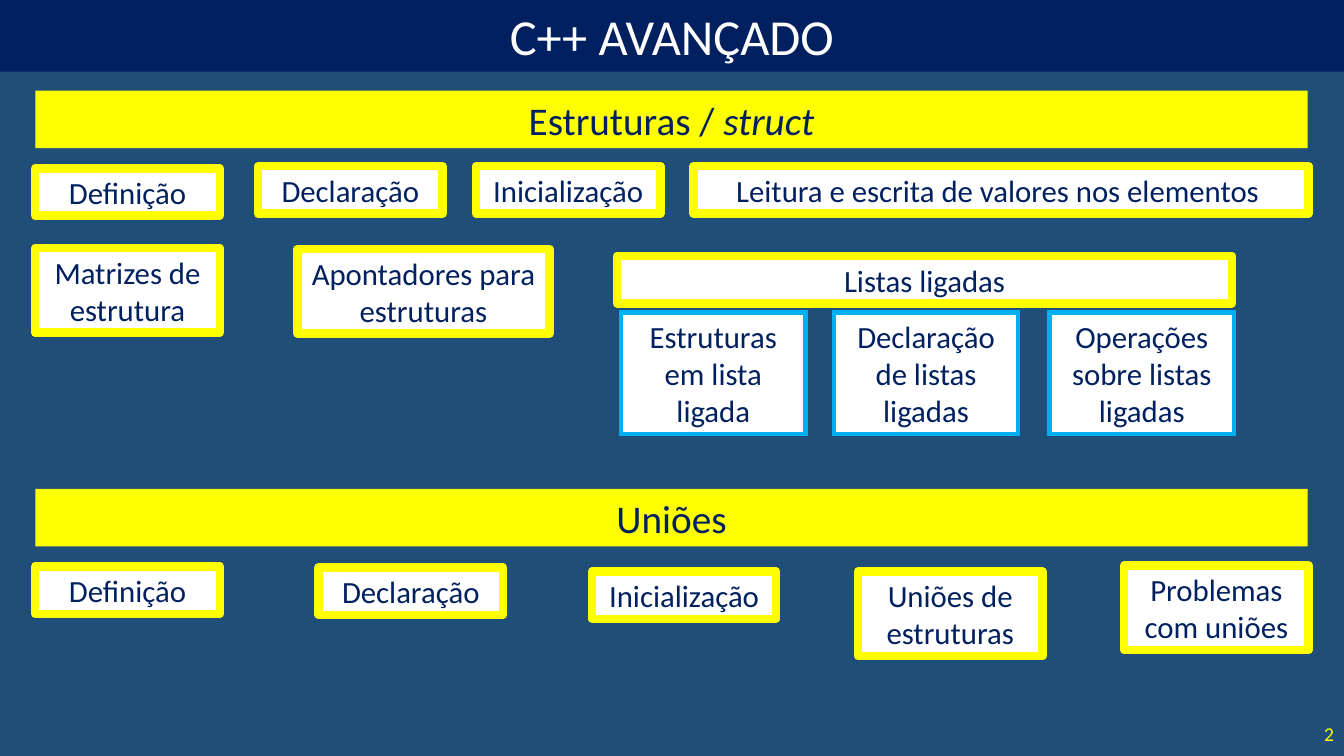
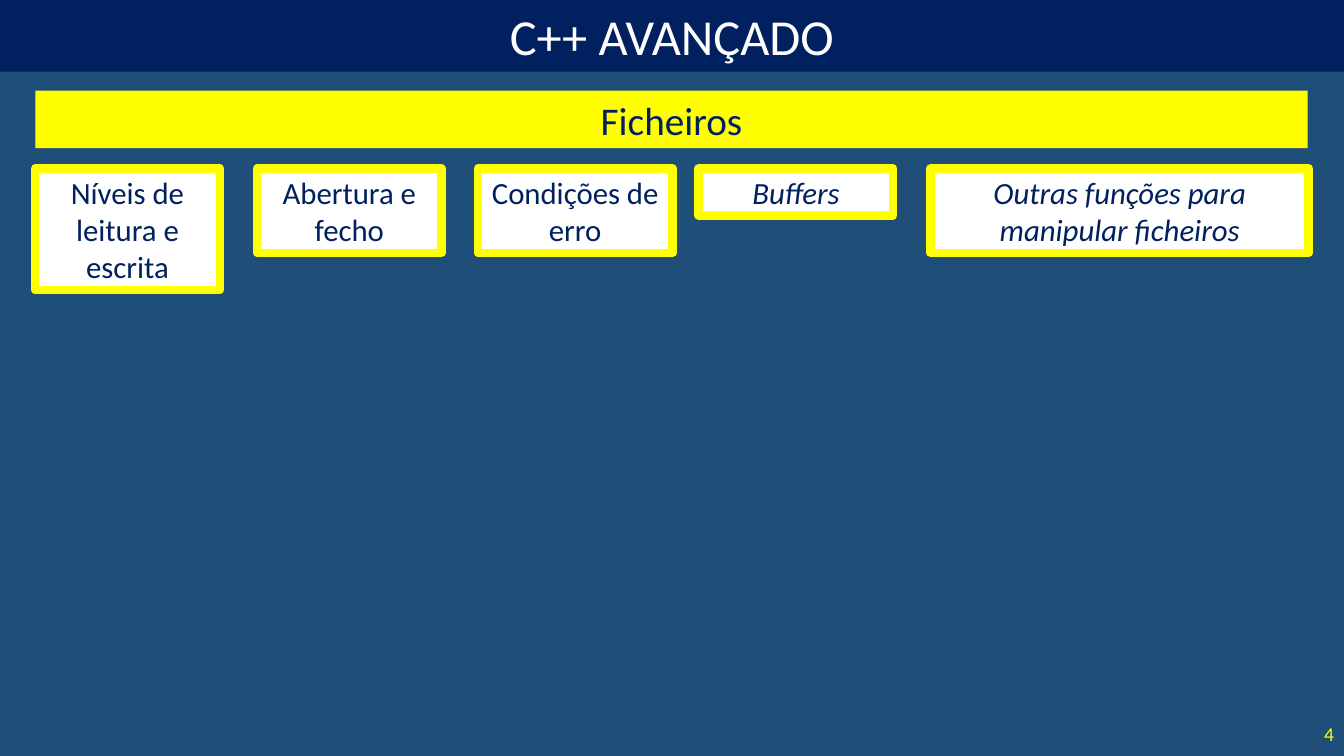
from dataclasses import dataclass

from pptx import Presentation
from pptx.dml.color import RGBColor as Color
from pptx.enum.shapes import MSO_SHAPE as Preset
from pptx.enum.text import MSO_ANCHOR as Anchor
from pptx.enum.text import MSO_AUTO_SIZE as AutoSize
from pptx.enum.text import PP_ALIGN as Align
from pptx.oxml.ns import qn
from pptx.util import Inches, Pt


@dataclass(frozen=True)
class Theme:
    background: Color = Color.from_string("1F4E79")
    navy: Color = Color.from_string("002060")
    yellow: Color = Color.from_string("FFFF00")
    blue: Color = Color.from_string("00B0F0")
    white: Color = Color.from_string("FFFFFF")
    font: str = "Calibri"
    title_size: int = 36
    section_size: int = 28
    topic_size: int = 22
    number_size: int = 14
    topic_line: int = 6
    subtopic_line: int = 3


theme = Theme()
SLIDE_WIDTH, SLIDE_HEIGHT = 13.33, 7.5
MARGIN, CONTENT_WIDTH = 0.35, 12.62
TOPIC_WIDTH, WIDE_TOPIC_WIDTH = 1.83, 6.1
LINE_HEIGHT, TEXT_PADDING = 0.37, 0.1


def write_text(shape, text, italic_text, size, color, align=Align.CENTER):
    frame = shape.text_frame
    frame.word_wrap = True
    frame.vertical_anchor = Anchor.MIDDLE
    paragraph = frame.paragraphs[0]
    paragraph.alignment = align
    for part, italic in ((text, None), (italic_text, True)):
        if part:
            run = paragraph.add_run()
            run.text = part
            run.font.name = theme.font
            run.font.size = Pt(size)
            run.font.color.rgb = color
            run.font.italic = italic


def add_box(shapes, place, fill, text, size, color=theme.navy, italic_text="", line=None):
    shape = shapes.add_shape(Preset.RECTANGLE, *map(Inches, place))
    shape.shadow.inherit = False
    shape.fill.solid()
    shape.fill.fore_color.rgb = fill
    if line:
        line_color, line_width, join = line
        shape.line.color.rgb = line_color
        shape.line.width = Pt(line_width)
        shape.line.fill._xPr.append(shape._element.makeelement(qn(join), {}))
    else:
        shape.line.fill.background()
    write_text(shape, text, italic_text, size, color)
    shape.text_frame.auto_size = AutoSize.SHAPE_TO_FIT_TEXT


topic_outline = (theme.yellow, theme.topic_line, "a:round")
subtopic_outline = (theme.blue, theme.subtopic_line, "a:miter")

pages = [
    {
        "number": "2",
        "sections": [(0.9, "Estruturas / ", "struct"), (4.85, "Uniões", "")],
        "topics": [
            (MARGIN, 1.67, TOPIC_WIDTH, 1, "Definição", ""),
            (2.56, 1.65, TOPIC_WIDTH, 1, "Declaração", ""),
            (4.72, 1.65, TOPIC_WIDTH, 1, "Inicialização", ""),
            (6.88, 1.65, WIDE_TOPIC_WIDTH, 1, "Leitura e escrita de valores nos elementos ", ""),
            (MARGIN, 2.46, TOPIC_WIDTH, 2, "Matrizes de estrutura", ""),
            (2.95, 2.47, 2.5, 2, "Apontadores para estruturas", ""),
            (MARGIN, 5.62, TOPIC_WIDTH, 1, "Definição", ""),
            (3.16, 5.63, TOPIC_WIDTH, 1, "Declaração", ""),
            (5.87, 5.67, TOPIC_WIDTH, 1, "Inicialização", ""),
            (8.51, 5.67, TOPIC_WIDTH, 2, "Uniões de estruturas", ""),
            (11.15, 5.61, TOPIC_WIDTH, 2, "Problemas com uniões", ""),
        ],
        "linked_lists": [
            (6.16, 3.1, TOPIC_WIDTH, 3, "Estruturas em lista ligada", subtopic_outline),
            (8.27, 3.1, TOPIC_WIDTH, 3, "Declaração de listas ligadas", subtopic_outline),
            (10.41, 3.1, TOPIC_WIDTH, 3, "Operações sobre listas ligadas", subtopic_outline),
            (6.12, 2.54, WIDE_TOPIC_WIDTH, 1, "Listas ligadas", topic_outline),
        ],
    },
    {
        "number": "4",
        "sections": [(0.9, "Ficheiros", "")],
        "topics": [
            (MARGIN, 1.67, TOPIC_WIDTH, 3, "Níveis de leitura e escrita", ""),
            (2.55, 1.67, TOPIC_WIDTH, 2, "Abertura e fecho", ""),
            (4.74, 1.67, 1.93, 2, "Condições de erro", ""),
            (6.93, 1.67, 1.93, 1, "", "Buffers"),
            (9.23, 1.67, 3.75, 2, "", "Outras funções para manipular ficheiros"),
        ],
        "linked_lists": [],
    },
]

presentation = Presentation()
presentation.slide_width = Inches(SLIDE_WIDTH)
presentation.slide_height = Inches(SLIDE_HEIGHT)
master_fill = presentation.slide_master.background.fill
master_fill.solid()
master_fill.fore_color.rgb = theme.background

for page in pages:
    slide = presentation.slides.add_slide(presentation.slide_layouts[6])
    shapes = slide.shapes

    number_box = shapes.add_textbox(*map(Inches, (12.1, 7.08, 1.23, 0.4)))
    write_text(number_box, page["number"], "", theme.number_size, theme.yellow, Align.RIGHT)
    add_box(shapes, (0, 0, SLIDE_WIDTH, 0.71), theme.navy, "C++ AVANÇADO",
            theme.title_size, theme.white)

    for top, text, italic_text in page["sections"]:
        add_box(shapes, (MARGIN, top, CONTENT_WIDTH, 0.57), theme.yellow, text,
                theme.section_size, italic_text=italic_text)

    for left, top, width, lines, text, italic_text in page["topics"]:
        height = TEXT_PADDING + LINE_HEIGHT * lines
        add_box(shapes, (left, top, width, height), theme.white, text,
                theme.topic_size, italic_text=italic_text, line=topic_outline)

    if page["linked_lists"]:
        group = shapes.add_group_shape()
        for left, top, width, lines, text, outline in page["linked_lists"]:
            height = TEXT_PADDING + LINE_HEIGHT * lines
            add_box(group.shapes, (left, top, width, height), theme.white, text,
                    theme.topic_size, line=outline)

presentation.save("out.pptx")
